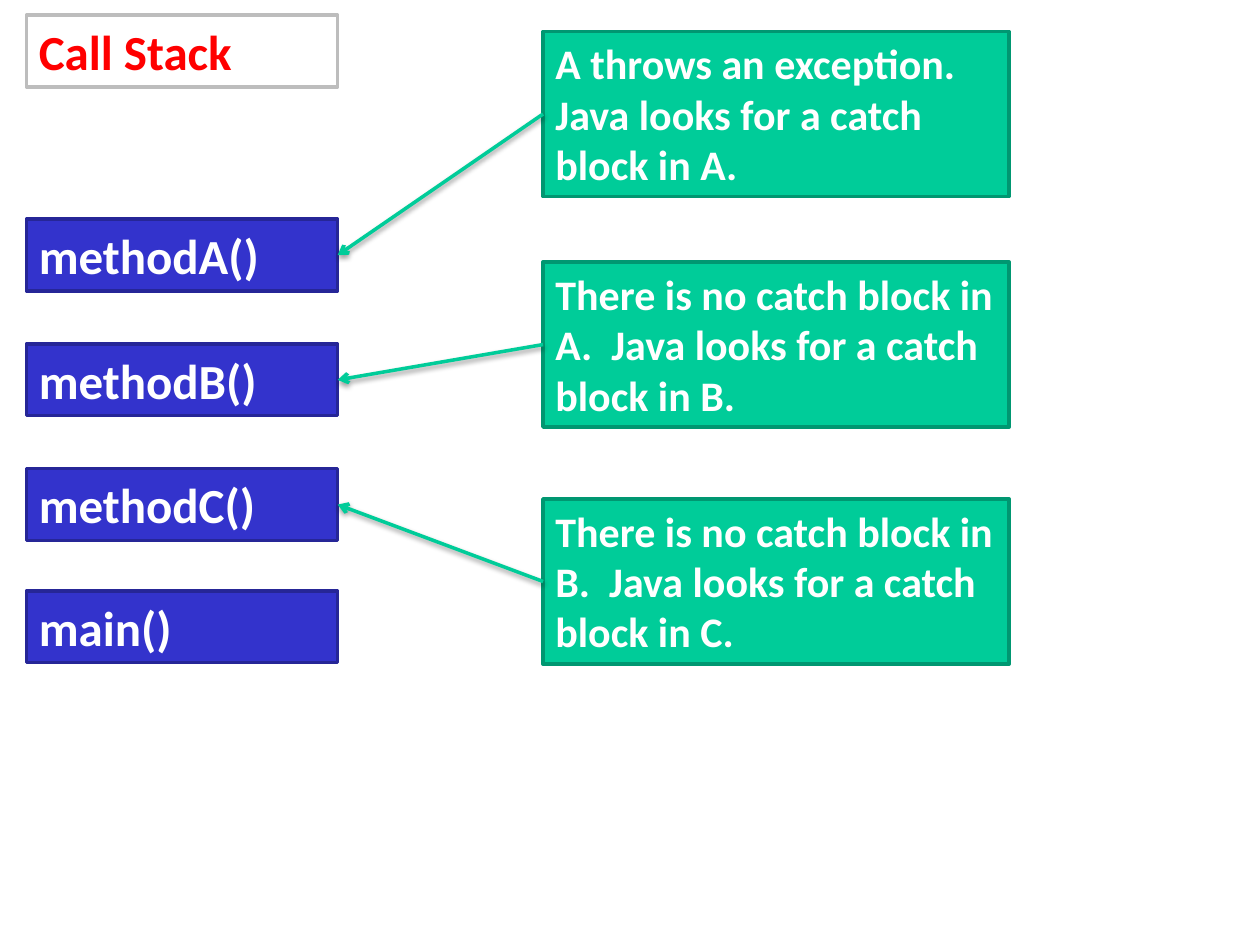
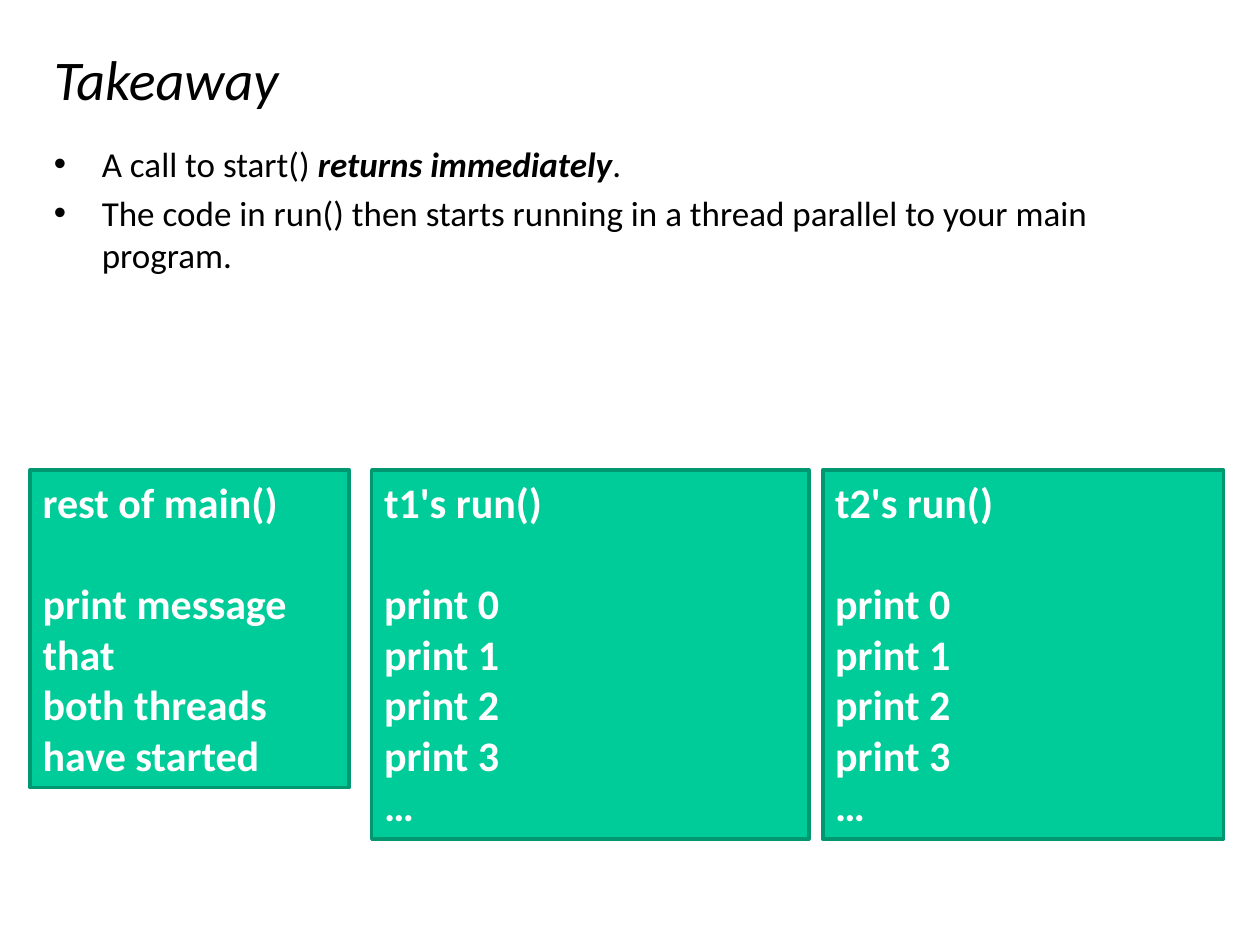
"""Build two slides on Java call stacks and threads."""
from dataclasses import dataclass

from lxml.etree import SubElement as Sub
from pptx import Presentation
from pptx.dml.color import RGBColor as Rgb
from pptx.enum.shapes import MSO_CONNECTOR as Link, MSO_SHAPE as Kind
from pptx.enum.text import MSO_ANCHOR as Anchor, MSO_AUTO_SIZE as Fit, PP_ALIGN as Align
from pptx.oxml.ns import qn
from pptx.util import Inches, Pt


@dataclass(frozen=True)
class Theme:
    font: str = "Calibri"
    black: str = "000000"
    white: str = "FFFFFF"
    red: str = "FF0000"
    gray: str = "BDBDBD"
    blue: str = "3333CC"
    navy: str = "262697"
    green: str = "00CC99"
    pine: str = "009771"
    title: int = 32
    call: int = 28
    note: int = 24
    body: int = 20
    line: int = 2
    gap: float = 29.3


T = Theme()
CALL = (T.blue, T.navy, T.white, T.call)
HEAD = (T.white, T.gray, T.red, T.call)
NOTE = (T.green, T.pine, T.white, T.note)


def style(font, size, color, bold=False, italic=False):
    font.name, font.size = T.font, Pt(size)
    font.color.rgb = Rgb.from_string(color)
    font.bold, font.italic = bold, italic


def paras(frame, count):
    return [frame.paragraphs[0]] + [frame.add_paragraph() for _ in range(count - 1)]


def box(slide, area, look, *lines, gap=0):
    """Draw a bordered box of bold lines, with a gap in points after the first."""
    fill, edge, color, size = look
    shape = slide.shapes.add_shape(Kind.RECTANGLE, *map(Inches, area))
    shape.shadow.inherit = False
    shape.fill.solid()
    shape.fill.fore_color.rgb = Rgb.from_string(fill)
    shape.line.color.rgb = Rgb.from_string(edge)
    shape.line.width = Pt(T.line)
    frame = shape.text_frame
    frame.word_wrap, frame.auto_size = True, Fit.SHAPE_TO_FIT_TEXT
    frame.vertical_anchor = Anchor.TOP
    for i, (para, line) in enumerate(zip(paras(frame, len(lines)), lines)):
        para.text, para.alignment = line, Align.LEFT
        if i == 1:
            para.space_before = Pt(gap)
        style(para.font, size, color, bold=True)
    return shape


def arrow(slide, note, call):
    """Point from the left of a note to the right of a call."""
    line = slide.shapes.add_connector(Link.STRAIGHT, 0, 0, 0, 0)
    line.begin_connect(note, 1)
    line.end_connect(call, 3)
    line.line.color.rgb = Rgb.from_string(T.green)
    line.line.width = Pt(T.line)
    props = line.line._get_or_add_ln()
    Sub(props, qn("a:tailEnd"), type="arrow")
    effect = Sub(props.getparent(), qn("a:effectLst"))
    shade = Sub(effect, qn("a:outerShdw"), blurRad=str(Pt(3.1)), dist=str(Pt(1.6)),
                dir="5400000", rotWithShape="0")
    color = Sub(shade, qn("a:srgbClr"), val=T.black)
    Sub(color, qn("a:alpha"), val="38000")


def label(slide, area):
    frame = slide.shapes.add_textbox(*map(Inches, area)).text_frame
    frame.word_wrap = True
    return frame


def title(slide, text):
    frame = label(slide, (0.33, 0.33, 9.33, 0.58))
    frame.vertical_anchor = Anchor.MIDDLE
    para = frame.paragraphs[0]
    para.text = text
    style(para.font, T.title, T.black, italic=True)


def points(slide, area, items):
    """Write bullets whose items are lists of (text, strong) runs."""
    frame = label(slide, area)
    for i, (para, item) in enumerate(zip(paras(frame, len(items)), items)):
        props = para._p.get_or_add_pPr()
        props.set("marL", str(Inches(0.38)))
        props.set("indent", str(Inches(-0.38)))
        Sub(props, qn("a:buFont"), typeface="Arial")
        Sub(props, qn("a:buChar"), char="•")
        para.space_before = Pt(T.body * 0.2 if i else 0)
        style(para.font, T.body, T.black)
        for text, strong in item:
            run = para.add_run()
            run.text = text
            style(run.font, T.body, T.black, strong, strong)


def stack(slide):
    left, wide, high = 0.21, 2.47, 0.57
    box(slide, (left, 0.12, wide, high), HEAD, "Call Stack")
    tops = {"methodA()": 1.74, "methodB()": 2.73, "methodC()": 3.72, "main()": 4.69}
    calls = [box(slide, (left, top, wide, high), CALL, name) for name, top in tops.items()]
    texts = [
        (0.25, "A throws an exception.", "Java looks for a catch block in A."),
        (2.08, "There is no catch block in A.  Java looks for a catch block in B."),
        (3.96, "There is no catch block in B.  Java looks for a catch block in C."),
    ]
    notes = [box(slide, (4.31, top, 3.7, 1.31), NOTE, *lines) for top, *lines in texts]
    for note, call in zip(notes, calls):
        arrow(slide, note, call)


def threads(slide):
    title(slide, "Takeaway")
    points(slide, (0.33, 1.08, 9.33, 1.2), [
        [("A call to start() ", False), ("returns immediately", True), (".", False)],
        [("The code in run() then starts running in a thread parallel to your main program.",
          False)],
    ])
    prints = [f"print {n}" for n in range(4)] + ["…"]
    cols = [
        (0.24, 2.53, 2.52, "rest of main()", ["print message that", "both threads have started"]),
        (2.95, 3.47, 2.93, "t1's run()", prints),
        (6.53, 3.18, 2.93, "t2's run()", prints),
    ]
    for left, wide, high, head, lines in cols:
        box(slide, (left, 3.73, wide, high), NOTE, head, *lines, gap=T.gap)


def main():
    deck = Presentation()
    deck.slide_width, deck.slide_height = Inches(10), Inches(7.5)
    for build in (stack, threads):
        build(deck.slides.add_slide(deck.slide_layouts[6]))
    deck.save("out.pptx")


if __name__ == "__main__":
    main()
